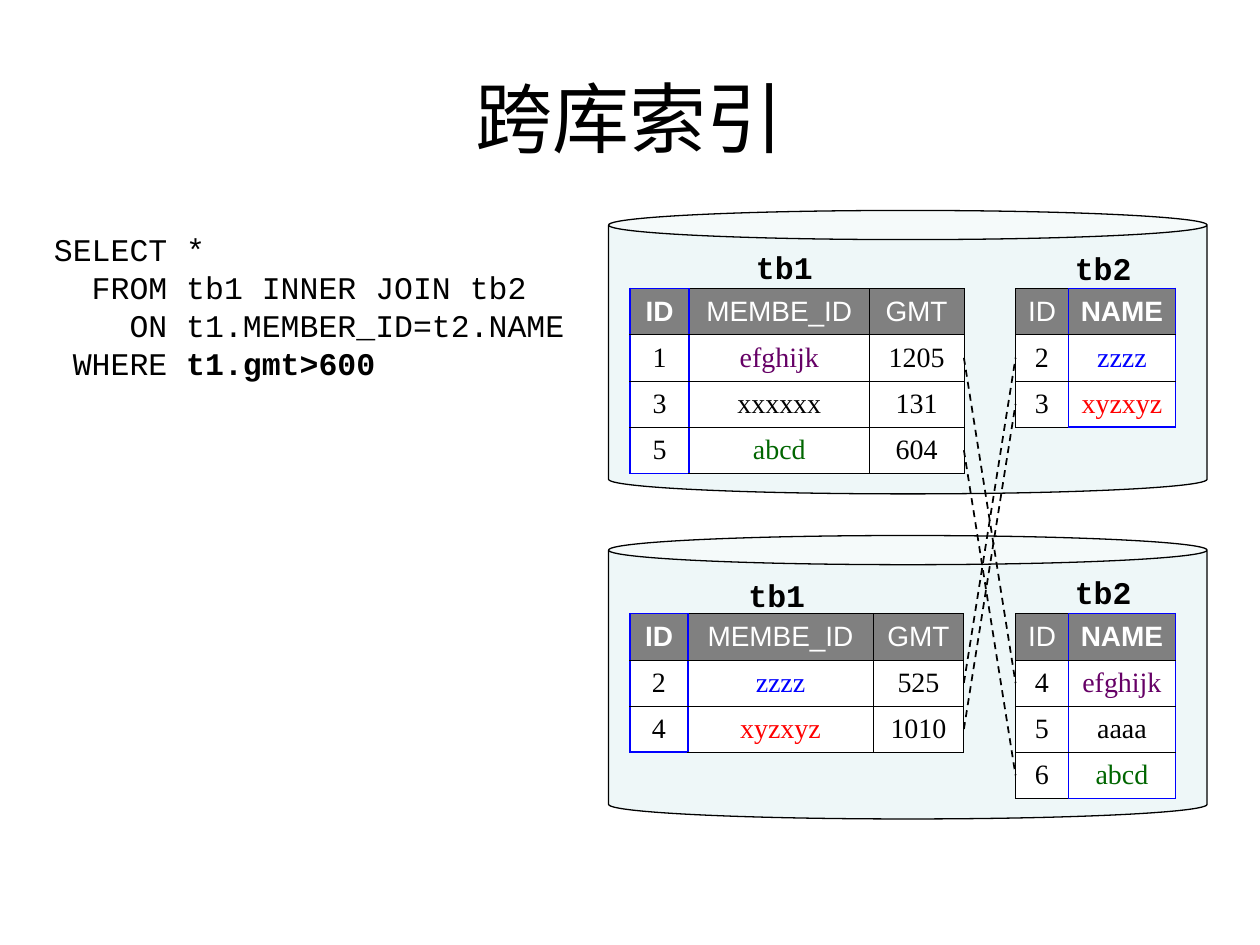
import lxml.etree
import pptx
import pptx.dml.color
import pptx.enum.dml
import pptx.enum.shapes
import pptx.enum.text
import pptx.oxml.ns
import pptx.util

Inches, Pt = pptx.util.Inches, pptx.util.Pt
RGBColor = pptx.dml.color.RGBColor
PP_ALIGN = pptx.enum.text.PP_ALIGN
MIDDLE = pptx.enum.text.MSO_ANCHOR.MIDDLE
qn = pptx.oxml.ns.qn

BLACK = RGBColor(0x00, 0x00, 0x00)
WHITE = RGBColor(0xFF, 0xFF, 0xFF)
GRAY = RGBColor(0x80, 0x80, 0x80)
BLUE = RGBColor(0x00, 0x00, 0xFF)
RED = RGBColor(0xFF, 0x00, 0x00)
PURPLE = RGBColor(0x66, 0x00, 0x66)
GREEN = RGBColor(0x00, 0x66, 0x00)
PALE_TEAL = RGBColor(0xBB, 0xE0, 0xE3)
NAME_COLORS = {"efghijk": PURPLE, "abcd": GREEN, "zzzz": BLUE, "xyzxyz": RED}

TITLE_FONT = "Noto Sans CJK SC"
CODE_FONT = "Courier New"
ROW_H = Inches(1.1) // 3
CELL_MARGIN = Inches(0.05)
TABLE_DY = Inches(0.62)
TB1_DX, TB1_W = Inches(0.17), Inches(2.65)
TB2_DX = Inches(3.23)
TB1_HEAD = ["ID", "MEMBE_ID", "GMT"]
TB2_HEAD = ["ID", "NAME"]

DATABASES = [
    {
        "top": 1.67,
        "tb1": [["1", "efghijk", "1205"], ["3", "xxxxxx", "131"], ["5", "abcd", "604"]],
        "tb2": [["2", "zzzz"], ["3", "xyzxyz"]],
        "tb1_cols": [0.47, 1.43, 0.75],
        "labels": {"tb1": (0.98, 0.25), "tb2": (3.51, 0.26)},
    },
    {
        "top": 4.25,
        "tb1": [["2", "zzzz", "525"], ["4", "xyzxyz", "1010"]],
        "tb2": [["4", "efghijk"], ["5", "aaaa"], ["6", "abcd"]],
        "tb1_cols": [0.46, 1.47, 0.72],
        "labels": {"tb1": (0.92, 0.27), "tb2": (3.51, 0.25)},
    },
]


def add_title(s, left, top, width, height):
    """Place and format the title placeholder."""
    sp = s.shapes.title
    sp.left, sp.top, sp.width, sp.height = left, top, width, height
    sp.text_frame.vertical_anchor = MIDDLE
    p = sp.text_frame.paragraphs[0]
    p.alignment = PP_ALIGN.CENTER
    r = p.add_run()
    r.text = "跨库索引"
    r.font.size, r.font.name = Pt(44), TITLE_FONT
    r.font.color.rgb = BLACK
    ea = lxml.etree.SubElement(r._r.get_or_add_rPr(), qn("a:ea"))
    ea.set("typeface", TITLE_FONT)


def add_code_text(s, left, top, width, height, text):
    """Add a monospaced text box and return its paragraph."""
    tf = s.shapes.add_textbox(left, top, width, height).text_frame
    tf.word_wrap = True
    p = tf.paragraphs[0]
    p.text = text
    p.line_spacing = Pt(21.6)
    p.font.size, p.font.name = Pt(18), CODE_FONT
    p.font.color.rgb = BLACK
    return p


def add_query(s, left, top, width, height):
    """Add the SQL query with its condition in bold."""
    text = "SELECT *\n  FROM tb1 INNER JOIN tb2 \n    ON t1.MEMBER_ID=t2.NAME\n WHERE "
    r = add_code_text(s, left, top, width, height, text).add_run()
    r.text = "t1.gmt>600"
    r.font.bold = True


def set_border(cell, side, color, width):
    """Draw one side of a cell, where side is L, R, T or B."""
    ln = lxml.etree.SubElement(cell._tc.get_or_add_tcPr(), qn(f"a:ln{side}"), w=str(width))
    fill = lxml.etree.SubElement(ln, qn("a:solidFill"))
    lxml.etree.SubElement(fill, qn("a:srgbClr"), val=str(color))


def add_data_table(s, left, top, cols, rows, key):
    """Add a table whose key column is framed in blue."""
    widths = [Inches(w) for w in cols]
    shape = s.shapes.add_table(len(rows), len(cols), left, top, sum(widths), ROW_H * len(rows))
    table = shape.table
    table.horz_banding = False
    for col, width in zip(table.columns, widths):
        col.width = width
    for i, values in enumerate(rows):
        table.rows[i].height = ROW_H
        for j, value in enumerate(values):
            cell = table.cell(i, j)
            framed = {
                "L": j in (key, key + 1),
                "R": j in (key - 1, key),
                "T": j == key and i == 0,
                "B": j == key and i == len(rows) - 1,
            }
            for side, is_blue in framed.items():
                set_border(cell, side, BLUE if is_blue else BLACK, Pt(1.08 if is_blue else 0.45))
            cell.fill.solid()
            cell.fill.fore_color.rgb = WHITE if i else GRAY
            cell.vertical_anchor = MIDDLE
            cell.margin_left = cell.margin_right = CELL_MARGIN
            p = cell.text_frame.paragraphs[0]
            p.text = value
            p.alignment = PP_ALIGN.CENTER
            p.font.size = Pt(16)
            p.font.name = "Times New Roman" if i else "Arial"
            p.font.bold = i == 0 and j == key
            p.font.color.rgb = NAME_COLORS.get(value, BLACK) if i else WHITE


def add_database(s, left, top, width, height, db):
    """Add a cylinder holding the two labelled tables of one database."""
    sp = s.shapes.add_shape(pptx.enum.shapes.MSO_SHAPE.CAN, left, top, width, height)
    sp.adjustments[0] = 0.103
    sp.shadow.inherit = False
    sp.fill.solid()
    sp.fill.fore_color.rgb = PALE_TEAL
    color = sp.fill._xPr.find(".//" + qn("a:srgbClr"))
    lxml.etree.SubElement(color, qn("a:alpha"), val="24000")
    sp.line.color.rgb, sp.line.width = BLACK, Pt(0.75)
    table_top = top + TABLE_DY
    add_data_table(s, left + TB1_DX, table_top, db["tb1_cols"], [TB1_HEAD] + db["tb1"], 0)
    add_data_table(s, left + TB2_DX, table_top, [0.42, 0.85], [TB2_HEAD] + db["tb2"], 1)
    for name, (dx, dy) in db["labels"].items():
        p = add_code_text(s, left + Inches(dx), top + Inches(dy), Inches(0.83), Inches(0.4), name)
        p.alignment = PP_ALIGN.CENTER
        p.font.bold = True


def add_joins(s, left, source, target):
    """Link each tb1 row of source to the tb2 row of target with the same name."""
    def row_y(db, index):
        return Inches(db["top"]) + TABLE_DY + ROW_H * (2 * index + 3) // 2

    names = [row[1] for row in target["tb2"]]
    for i, row in enumerate(source["tb1"]):
        if row[1] in names:
            line = s.shapes.add_connector(
                pptx.enum.shapes.MSO_CONNECTOR.STRAIGHT,
                left + TB1_DX + TB1_W, row_y(source, i),
                left + TB2_DX, row_y(target, names.index(row[1])))
            line.line.color.rgb, line.line.width = BLACK, Pt(1)
            line.line.dash_style = pptx.enum.dml.MSO_LINE.DASH
            lxml.etree.SubElement(line._element.spPr, qn("a:effectLst"))


def main():
    """Build the slide and save it."""
    prs = pptx.Presentation()
    prs.slide_width, prs.slide_height = Inches(10), Inches(7.5)
    s = prs.slides.add_slide(prs.slide_layouts[5])
    add_title(s, Inches(0.5), Inches(0.3), Inches(9), Inches(1.25))
    add_query(s, Inches(0.33), Inches(1.78), Inches(4.5), Inches(1.3))
    left = Inches(4.83)
    for db in DATABASES:
        add_database(s, left, Inches(db["top"]), Inches(4.75), Inches(2.25), db)
    upper, lower = DATABASES
    add_joins(s, left, upper, lower)
    add_joins(s, left, lower, upper)
    prs.save("out.pptx")


if __name__ == "__main__":
    main()
